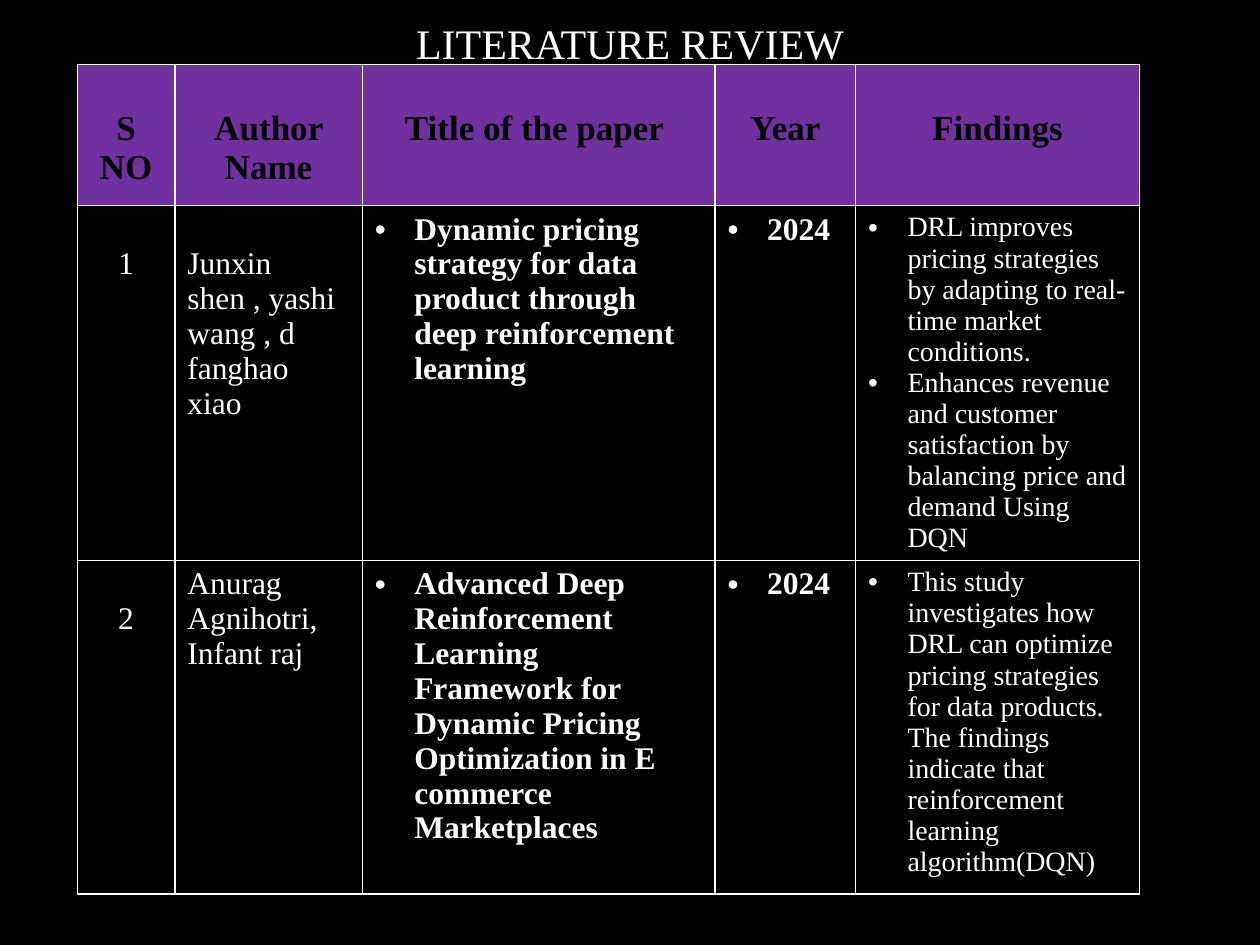
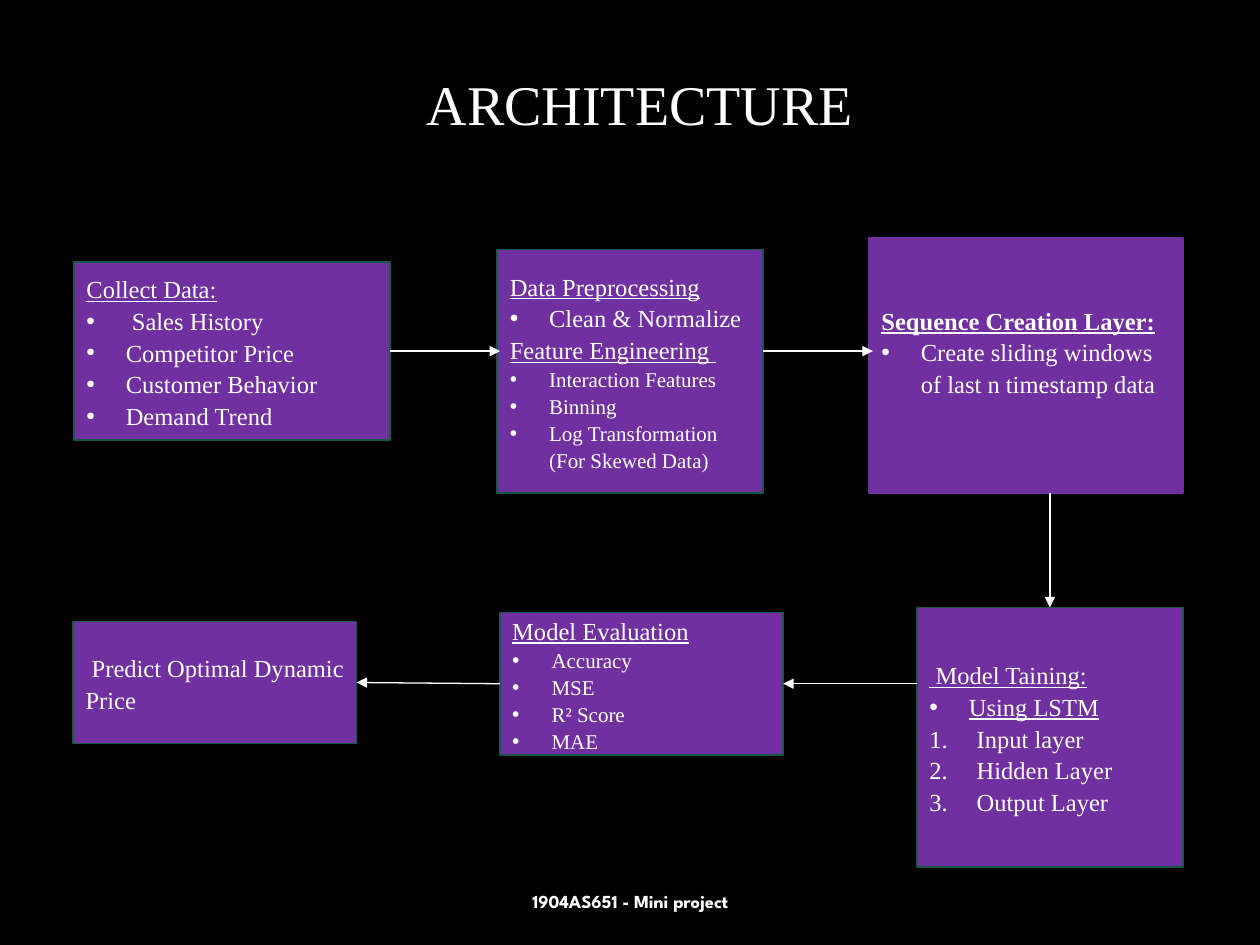
"""Build the literature review and architecture slides."""
import dataclasses

import lxml.etree
import pptx
import pptx.dml.color
import pptx.enum.shapes
import pptx.enum.text
import pptx.oxml.ns
import pptx.util

Pt = pptx.util.Pt
qn = pptx.oxml.ns.qn
ALIGN = pptx.enum.text.PP_ALIGN
MIDDLE = pptx.enum.text.MSO_ANCHOR.MIDDLE
COLORS = {"back": "000000", "text": "FFFFFF", "panel": "7030A0", "edge": "16574A"}
SERIF = "Times New Roman"
LEADING = 1.08
INDENTS = {"bullet": 22.5, "number": 27}
RIGHT, LEFT, TOP = 3, 1, 0


@dataclasses.dataclass
class Line:
    """One paragraph and its look."""
    text: str
    size: float = 14
    mark: str = ""
    bold: bool = False
    underline: bool = False
    tab: float = 0


def bullets(*texts, **look):
    """Return bulleted lines that share one look."""
    return [Line(t, mark="bullet", **look) for t in texts]


def head(text, **look):
    """Return an underlined heading line."""
    return Line(text, underline=True, **look)


def rgb(name):
    """Return the named colour."""
    return pptx.dml.color.RGBColor.from_string(COLORS[name])


def sub(parent, tag, **attrs):
    """Append an XML child with attributes."""
    node = lxml.etree.SubElement(parent, qn(tag))
    for key, value in attrs.items():
        node.set(key, str(value))
    return node


def mark_paragraph(p, line):
    """Give a paragraph its bullet, number or tab stop."""
    pPr = p._p.get_or_add_pPr()
    if line.mark:
        indent = Pt(INDENTS[line.mark])
        pPr.set("marL", str(indent))
        pPr.set("indent", str(-indent))
    if line.mark == "bullet":
        sub(pPr, "a:buFont", typeface="Arial")
        sub(pPr, "a:buChar", char="•")
    elif line.mark == "number":
        sub(pPr, "a:buFont", typeface="+mj-lt")
        sub(pPr, "a:buAutoNum", type="arabicPeriod")
    if line.tab:
        sub(sub(pPr, "a:tabLst"), "a:tab", pos=Pt(line.tab), algn="l")


def write(tf, lines, align=ALIGN.LEFT, color="text", font=SERIF, spacing=None):
    """Fill a text frame with lines."""
    tf.word_wrap = True
    for i, line in enumerate(lines):
        p = tf.add_paragraph() if i else tf.paragraphs[0]
        p.text = line.text
        p.alignment = align
        if spacing:
            p.line_spacing = spacing
        mark_paragraph(p, line)
        for r in p.runs:
            r.font.name = font
            r.font.size = Pt(line.size)
            r.font.bold = line.bold
            r.font.underline = line.underline
            r.font.color.rgb = rgb(color)


def place(sp, box):
    """Move a shape to a box in points."""
    sp.left, sp.top, sp.width, sp.height = map(Pt, box)


def titled_slide(prs, title, size, box):
    """Add a slide with its title in the given box."""
    s = prs.slides.add_slide(prs.slide_layouts[5])
    sp = s.shapes.title
    place(sp, box)
    tf = sp.text_frame
    tf.auto_size = pptx.enum.text.MSO_AUTO_SIZE.NONE
    tf.vertical_anchor = MIDDLE
    write(tf, [Line(title, size)], ALIGN.CENTER, spacing=0.9)
    return s


def border_cell(cell):
    """Draw a thin line on all four sides of a cell."""
    tcPr = cell._tc.get_or_add_tcPr()
    for i, side in enumerate(("a:lnL", "a:lnR", "a:lnT", "a:lnB")):
        ln = lxml.etree.Element(qn(side), w=str(Pt(1)))
        sub(sub(ln, "a:solidFill"), "a:srgbClr", val=COLORS["text"])
        tcPr.insert(i, ln)


def review_table(s, box, widths, heights, papers):
    """Add the table of reviewed papers in the given box."""
    heads = ("S NO", "Author Name", "Title of the paper ", "Year", "Findings")
    rows = [[[Line(h, 20, bold=True)] for h in heads]]
    for number, (authors, title, year, findings) in enumerate(papers, 1):
        rows.append([
            [Line(str(number), 18)],
            [Line(a, 18) for a in authors],
            bullets(title, size=18, bold=True),
            bullets(year, size=18, bold=True),
            bullets(*findings, size=16),
        ])
    frame = s.shapes.add_table(len(rows), len(heads), *map(Pt, box))
    table = frame.table
    table.horz_banding = False
    for column, width in zip(table.columns, widths):
        column.width = Pt(width)
    for row, height in zip(table.rows, heights):
        row.height = Pt(height)
    for i, row in enumerate(rows):
        for j, lines in enumerate(row):
            cell = table.cell(i, j)
            cell.fill.solid()
            cell.fill.fore_color.rgb = rgb("back" if i else "panel")
            border_cell(cell)
            if i == 0:
                cell.margin_top = Pt(25.7)
            elif j == 0 or (i, j) == (1, 1):
                cell.margin_top = Pt(23.5)
            write(cell.text_frame, lines,
                  ALIGN.LEFT if i and j else ALIGN.CENTER,
                  "text" if i else "back")


def node(s, box, lines, edge="edge"):
    """Add one step of the flow."""
    sp = s.shapes.add_shape(pptx.enum.shapes.MSO_SHAPE.RECTANGLE, *map(Pt, box))
    sp.shadow.inherit = False
    sp.fill.solid()
    sp.fill.fore_color.rgb = rgb("panel")
    sp.line.color.rgb = rgb(edge)
    sp.line.width = Pt(1)
    sp.text_frame.vertical_anchor = MIDDLE
    write(sp.text_frame, lines, spacing=LEADING)
    return sp


def arrow(s, start, end):
    """Draw an arrow between points or (shape, side) joints."""
    cx = s.shapes.add_connector(pptx.enum.shapes.MSO_CONNECTOR.STRAIGHT, 0, 0, 0, 0)
    if isinstance(start[0], (int, float)):
        cx.begin_x, cx.begin_y = map(Pt, start)
    else:
        cx.begin_connect(*start)
    if isinstance(end[0], (int, float)):
        cx.end_x, cx.end_y = map(Pt, end)
    else:
        cx.end_connect(*end)
    cx.line.color.rgb = rgb("text")
    cx.line.width = Pt(0.75)
    sub(cx.line._get_or_add_ln(), "a:tailEnd", type="triangle")
    sub(cx._element.spPr, "a:effectLst")


def flow(s, box):
    """Add the processing steps and their arrows in the given box."""
    x, y = box[:2]

    def step(left, top, width, height, lines, **look):
        """Place a step relative to the flow's corner."""
        return node(s, (x + left, y + top, width, height), lines, **look)

    collect = step(0.5, 13.8, 180.7, 101.5, [
        head("Collect Data:\t", tab=106),
        *bullets(" Sales History", "Competitor Price", "Customer Behavior",
                 "Demand Trend")])
    step(242.4, 6.5, 151.9, 139, [
        head("Data Preprocessing"),
        *bullets("Clean & Normalize"),
        head("Feature Engineering "),
        *bullets("Interaction Features", "Binning",
                 "Log Transformation (For Skewed Data)", size=12)])
    sequence = step(454.8, 0, 179.3, 145.5, [
        head("Sequence Creation Layer:", bold=True),
        *bullets("Create sliding windows of last n timestamp data")],
        edge="panel")
    sequence.text_frame.margin_bottom = Pt(20.3)
    training = step(482.2, 211, 151.9, 148.3, [
        head(" Model Taining:"),
        *bullets("Using LSTM", underline=True),
        *[Line(t, mark="number")
          for t in ("Input layer", "Hidden Layer", "Output Layer")]])
    evaluation = step(243.8, 213.9, 162, 81.4, [
        head("Model Evaluation"),
        *bullets("Accuracy", "MSE", "R² Score", "MAE", size=12)])
    predict = step(0, 219, 162, 69.8, [Line(" Predict Optimal Dynamic Price")])

    upper, lower = y + 64.55, y + 254.6
    arrow(s, (collect, RIGHT), (x + 244, upper))
    arrow(s, (x + 394.3, upper), (x + 457, upper))
    arrow(s, (x + 558.15, y + 145.5), (training, TOP))
    arrow(s, (x + 482.2, lower), (evaluation, RIGHT))
    arrow(s, (evaluation, LEFT), (predict, RIGHT))


def footer(s, box, text):
    """Add the centred footer in the given box."""
    tf = s.shapes.add_textbox(*map(Pt, box)).text_frame
    tf.vertical_anchor = MIDDLE
    write(tf, [Line(text, 10.5, bold=True)], ALIGN.CENTER, font="League Spartan")


def main():
    """Build and save the presentation."""
    prs = pptx.Presentation()
    prs.slide_width, prs.slide_height = Pt(720), Pt(540)
    fill = prs.slide_master.background.fill
    fill.solid()
    fill.fore_color.rgb = rgb("back")

    s = titled_slide(prs, "LITERATURE REVIEW", 24, (203.8, 7.9, 312.5, 36.7))
    papers = [
        (["Junxin shen , yashi wang , d fanghao xiao"],
         "Dynamic pricing strategy for data product through deep "
         "reinforcement learning", "2024",
         ["DRL improves pricing strategies by adapting to real-time market "
          "conditions.",
          "Enhances revenue and customer satisfaction by balancing price and "
          "demand Using DQN"]),
        (["Anurag Agnihotri,", "Infant raj"],
         "Advanced Deep Reinforcement Learning Framework for Dynamic Pricing "
         "Optimization in E commerce Marketplaces", "2024",
         ["This study investigates how DRL can optimize pricing strategies for "
          "data products. The findings indicate that reinforcement learning "
          "algorithm(DQN)"]),
    ]
    review_table(s, (44.2, 36.9, 607, 473.7), (55.7, 107.2, 201.6, 80.3, 162.2),
                 (80.6, 202.4, 190.7), papers)

    s = titled_slide(prs, "ARCHITECTURE", 32, (212.4, 36.7, 306.7, 49.7))
    flow(s, (41.8, 136.1, 634.1, 359.3))
    footer(s, (246.2, 500.4, 228.2, 28.8), "1904AS651 - Mini project")
    prs.save("out.pptx")


if __name__ == "__main__":
    main()
